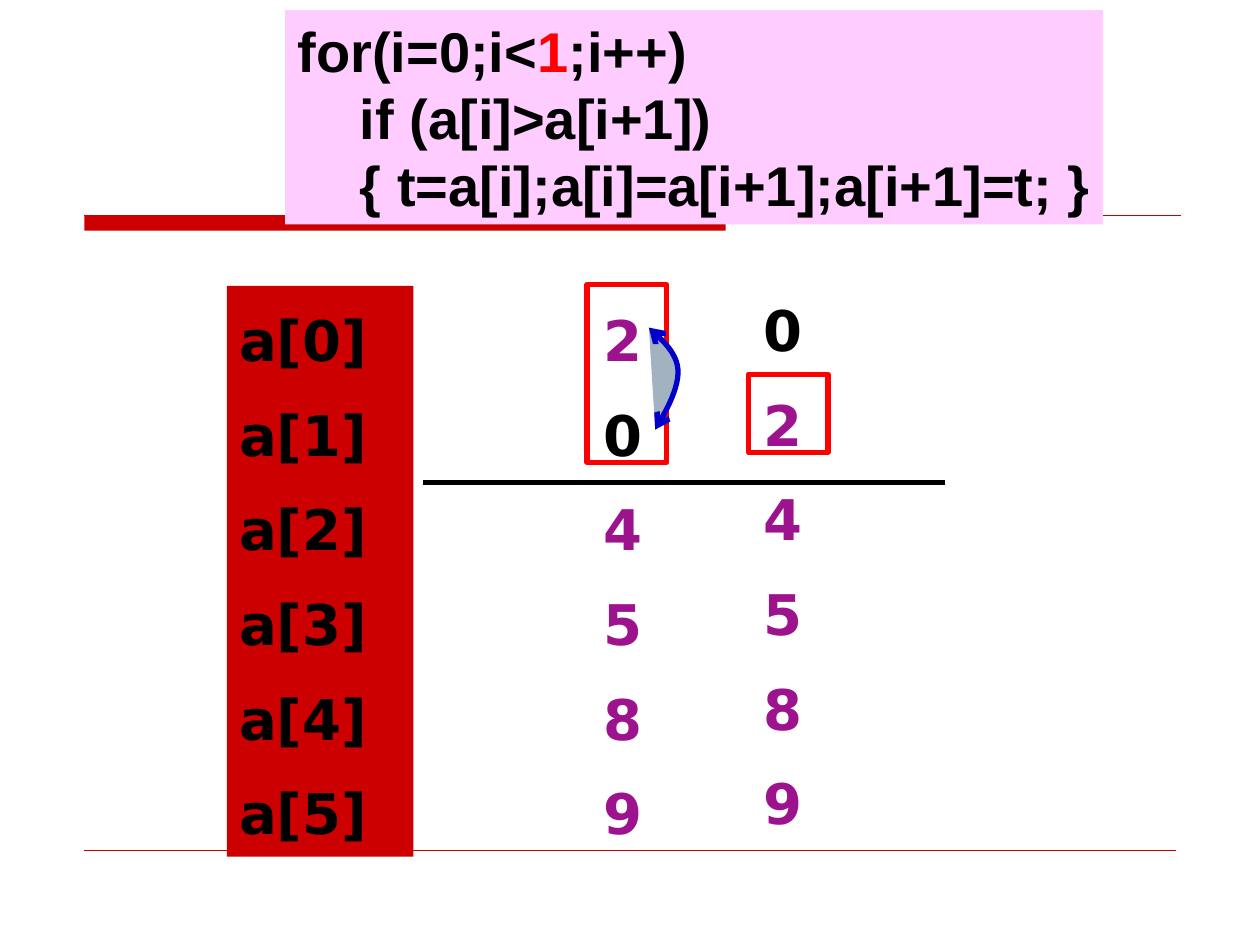
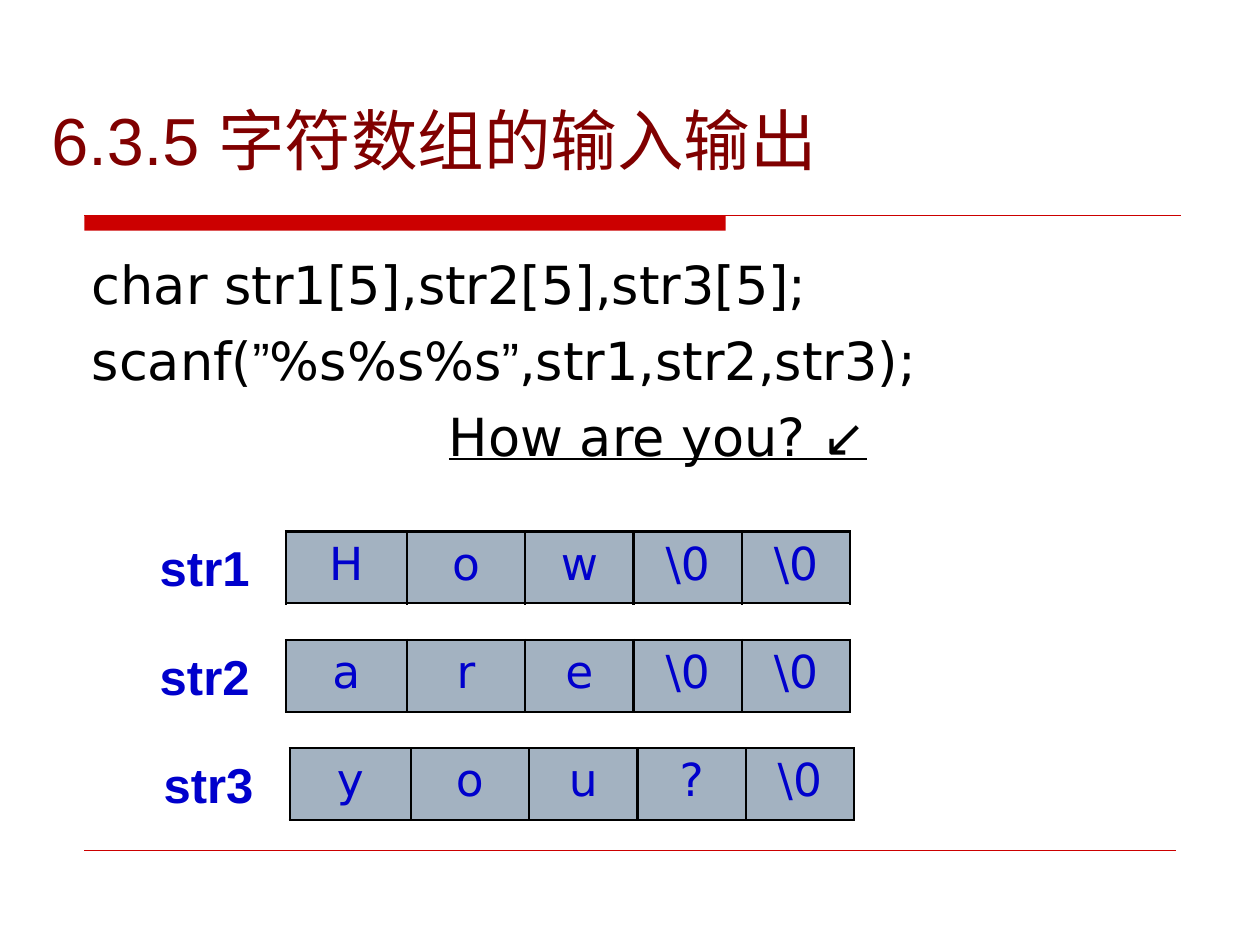
from dataclasses import dataclass

from lxml import etree
from pptx import Presentation
from pptx.dml.color import RGBColor
from pptx.enum.shapes import MSO_CONNECTOR, MSO_SHAPE
from pptx.enum.text import MSO_ANCHOR, PP_ALIGN
from pptx.oxml.ns import qn
from pptx.util import Pt

STRAIGHT = MSO_CONNECTOR.STRAIGHT
RECTANGLE, PROCESS = MSO_SHAPE.RECTANGLE, MSO_SHAPE.FLOWCHART_PROCESS
TOP, MIDDLE = MSO_ANCHOR.TOP, MSO_ANCHOR.MIDDLE
LEFT, CENTER = PP_ALIGN.LEFT, PP_ALIGN.CENTER


@dataclass(frozen=True)
class Theme:
    red: RGBColor = RGBColor(0xCC, 0x00, 0x00)
    bright_red: RGBColor = RGBColor(0xFF, 0x00, 0x00)
    maroon: RGBColor = RGBColor(0x80, 0x00, 0x00)
    purple: RGBColor = RGBColor(0x9D, 0x13, 0x8D)
    blue: RGBColor = RGBColor(0x00, 0x00, 0xCC)
    steel: RGBColor = RGBColor(0xA3, 0xB2, 0xC1)
    pink: RGBColor = RGBColor(0xFF, 0xCC, 0xFF)
    black: RGBColor = RGBColor(0x00, 0x00, 0x00)
    sans: str = "Arial"
    wide: str = "DejaVu Sans"
    title_size: int = 38
    code_size: int = 32
    body_size: int = 30
    label_size: int = 28
    cell_size: int = 26


theme = Theme()


def write_lines(frame, lines, size, font, bold=False, align=LEFT, anchor=TOP,
                before=0, spacing=1.0):
    """Write one paragraph per line; a line is a list of (text, colour) or (text, colour, font)."""
    frame.word_wrap = True
    frame.vertical_anchor = anchor
    for index, line in enumerate(lines):
        paragraph = frame.add_paragraph() if index else frame.paragraphs[0]
        paragraph.alignment = align
        paragraph.space_before = Pt(before)
        paragraph.line_spacing = spacing
        for text, color, *other_font in line:
            run = paragraph.add_run()
            run.text = text
            run.font.size = Pt(size)
            run.font.name = other_font[0] if other_font else font
            run.font.bold = bold
            run.font.color.rgb = color


def add_line(slide, left, right, y, color, width):
    line = slide.shapes.add_connector(STRAIGHT, Pt(left), Pt(y), Pt(right), Pt(y))
    line.line.color.rgb = color
    line.line.width = Pt(width)
    etree.SubElement(line.element.spPr, qn("a:effectLst"))


presentation = Presentation()
presentation.slide_width, presentation.slide_height = Pt(720), Pt(540)
blank = presentation.slide_layouts[6]
sort_slide, string_slide = [presentation.slides.add_slide(blank) for _ in range(2)]

# Shared band and footer rule
for slide in (sort_slide, string_slide):
    band = slide.shapes.add_shape(RECTANGLE, Pt(48.2), Pt(123.1), Pt(366.5), Pt(8.7))
    band.shadow.inherit = False
    band.fill.solid()
    band.fill.fore_color.rgb = theme.red
    band.line.fill.background()
    add_line(slide, 48.2, 674.6, 123.1, theme.red, 0.75)
    add_line(slide, 48.2, 671.8, 486, theme.red, 0.25)

# Slide 1: one pass of the bubble sort
add_line(sort_slide, 242, 540, 275.8, theme.black, 3)
value_columns = [
    (337.7, 163.4, "204589", (335.5, 162.7, 45.4, 101.5)),
    (429.1, 157.7, "024589", (427.7, 213.8, 45.4, 44.6)),
]
for left, top, values, frame_place in value_columns:
    column = sort_slide.shapes.add_textbox(Pt(left), Pt(top), Pt(56), Pt(326))
    lines = [[(value, theme.black if value == "0" else theme.purple)] for value in values]
    write_lines(column.text_frame, lines, theme.code_size, theme.wide, True,
                before=8, spacing=1.2)
    highlight = sort_slide.shapes.add_shape(PROCESS, *map(Pt, frame_place))
    highlight.shadow.inherit = False
    highlight.fill.background()
    highlight.line.color.rgb = theme.bright_red
    highlight.line.width = Pt(3)

# The swap arrow follows two cubic curves
swap_curves = [
    ((374.4, 245.5), (381.6, 233.3), (388.1, 221), (387.4, 211)),
    ((387.4, 211), (386.6, 201.6), (378.7, 194.4), (370.8, 187.2)),
]
steps = 12
swap_points = []
for curve in swap_curves:
    for step in range(1, steps + 1):
        t = step / steps
        weights = ((1 - t) ** 3, 3 * t * (1 - t) ** 2, 3 * t * t * (1 - t), t ** 3)
        swap_points.append(tuple(
            Pt(sum(weight * point[axis] for weight, point in zip(weights, curve)))
            for axis in (0, 1)))
builder = sort_slide.shapes.build_freeform(*map(Pt, swap_curves[0][0]))
builder.add_line_segments(swap_points, close=False)
swap = builder.convert_to_shape()
swap.shadow.inherit = False
swap.fill.solid()
swap.fill.fore_color.rgb = theme.steel
swap.line.color.rgb = theme.blue
swap.line.width = Pt(3)
swap_outline = swap.element.spPr.find(qn("a:ln"))
etree.SubElement(swap_outline, qn("a:round"))
for end in ("a:headEnd", "a:tailEnd"):
    etree.SubElement(swap_outline, qn(end), type="arrow")

index_lines = [[(f"a[{index}]", theme.black)] for index in range(6)]
code_lines = [
    [("for(i=0;i<", theme.black), ("1", theme.bright_red), (";i++)", theme.black)],
    [("if (a[i]>a[i+1])", theme.black)],
    [("{ t=a[i];a[i]=a[i+1];a[i+1]=t; }", theme.black)],
]
panels = [
    ((129.6, 163.4, 106.6, 326.2), theme.red, index_lines, theme.wide, 8, 1.2),
    ((163, 5.8, 467.3, 122.4), theme.pink, code_lines, theme.sans, 0, 1.0),
]
for place, color, lines, font, before, spacing in panels:
    panel = sort_slide.shapes.add_shape(RECTANGLE, *map(Pt, place))
    panel.shadow.inherit = False
    panel.fill.solid()
    panel.fill.fore_color.rgb = color
    panel.line.fill.background()
    write_lines(panel.text_frame, lines, theme.code_size, font, True,
                before=before, spacing=spacing)
code_frame = panel.text_frame
code_frame.word_wrap = False
for paragraph in code_frame.paragraphs[1:]:
    properties = paragraph._p.get_or_add_pPr()
    properties.set("marL", str(Pt(35.6)))
    properties.set("indent", "0")

# Slide 2: reading strings into character arrays
body = string_slide.shapes.add_textbox(Pt(45.4), Pt(140.4), Pt(661), Pt(219.6))
body_lines = [
    [("char str1[5],str2[5],str3[5];", theme.black)],
    [("scanf(", theme.black), ("”", theme.black, theme.sans), ("%s%s%s", theme.black),
     ("”", theme.black, theme.sans), (",str1,str2,str3);", theme.black)],
    [("How are you? ↙", theme.black)],
]
write_lines(body.text_frame, body_lines, theme.body_size, theme.wide, before=7.5)
typed_input = body.text_frame.paragraphs[-1]
typed_input.alignment = CENTER
typed_input.runs[0].font.underline = True

title = string_slide.shapes.add_textbox(Pt(22.3), Pt(53.3), Pt(680.4), Pt(52.6))
write_lines(title.text_frame, [[("6.3.5 字符数组的输入输出", theme.maroon)]],
            theme.title_size, theme.sans, anchor=MIDDLE)

column_widths = [69.1, 67.7, 61.9, 61.9, 61.9]
strings = [
    ("str1", ["H", "o", "w", r"\0", r"\0"], 0),
    ("str2", ["a", "r", "e", r"\0", r"\0"], 0),
    ("str3", ["y", "o", "u", "?", r"\0"], 2.2),
]
for row, (name, characters, shift) in enumerate(strings):
    top = 303.8 + 61.9 * row
    table = string_slide.shapes.add_table(
        1, len(characters), Pt(163.4 + shift), Pt(top), Pt(sum(column_widths)), Pt(41)).table
    table.first_row = table.horz_banding = False
    table.rows[0].height = Pt(41)
    for index, character in enumerate(characters):
        table.columns[index].width = Pt(column_widths[index])
        cell = table.cell(0, index)
        write_lines(cell.text_frame, [[(character, theme.blue)]],
                    theme.cell_size, theme.wide, align=CENTER)
        cell_properties = cell._tc.get_or_add_tcPr()
        for side in ("a:lnL", "a:lnR", "a:lnT", "a:lnB"):
            border = etree.SubElement(cell_properties, qn(side), w=str(Pt(1.47)))
            border_fill = etree.SubElement(border, qn("a:solidFill"))
            etree.SubElement(border_fill, qn("a:srgbClr"), val=str(theme.black))
        cell.fill.solid()
        cell.fill.fore_color.rgb = theme.steel
    label = string_slide.shapes.add_textbox(Pt(84.2 + shift), Pt(top), Pt(73.4), Pt(41))
    write_lines(label.text_frame, [[(name, theme.blue)]], theme.label_size, theme.sans, True)

presentation.save("out.pptx")
